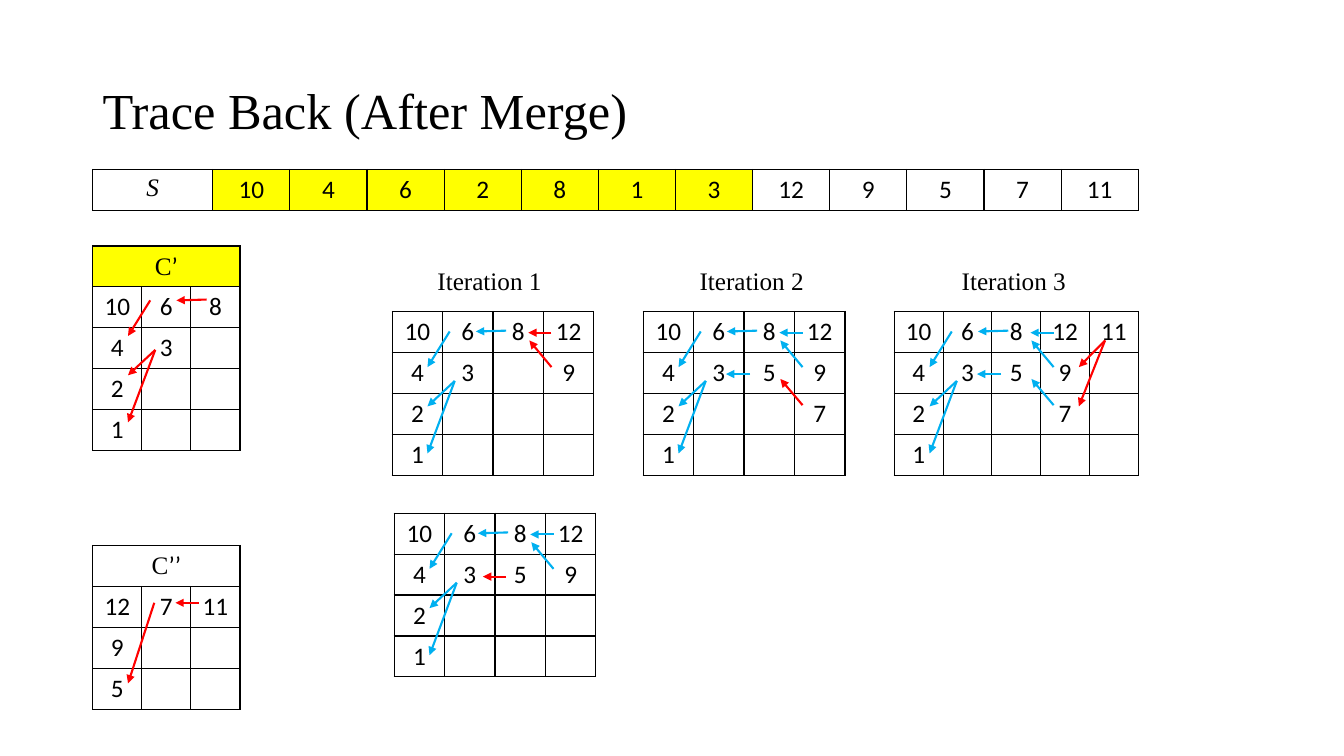
from lxml.etree import SubElement
from pptx import Presentation
from pptx.dml.color import RGBColor
from pptx.enum.shapes import MSO_CONNECTOR as Connector
from pptx.enum.text import MSO_ANCHOR as Anchor, PP_ALIGN as Align
from pptx.oxml.ns import qn
from pptx.util import Inches, Pt

BLACK = RGBColor(0, 0, 0)
YELLOW = RGBColor(255, 255, 0)
RED = RGBColor(255, 0, 0)
BLUE = RGBColor(0, 176, 240)
SERIF, SANS = "Times New Roman", "Calibri"
COLUMN = Inches(0.5)
ROW = Inches(2.03) // 5
MARGIN = 1.84

FORK = [
    ((1.14, 0.49), (0.7, 1.36)),
    ((2.26, 0.47), (1.66, 0.49)),
    ((1.24, 1.7), (0.7, 2.32)),
    ((1.24, 1.7), (0.7, 3.47)),
]
TWELVE_NINE = [((3.16, 0.52), (2.7, 0.52)), ((3.16, 1.36), (2.72, 0.71))]
FIVE = [((2.12, 1.53), (1.64, 1.53))]
FIVE_EARLY = [((2.22, 1.55), (1.76, 1.55))]
SEVEN = [((3.16, 2.29), (2.72, 1.65))]
ELEVEN = [((4.18, 0.71), (3.66, 1.36)), ((4.18, 0.71), (3.66, 2.32))]
SECOND_COVER = [((1.22, 0.4), (0.7, 2.37)), ((2.1, 0.4), (1.64, 0.4))]


def across(columns):
    return round(columns * COLUMN)


def down(rows):
    return round(rows * ROW)


def write(para, text, font=SANS, size=18, italic=False):
    span = para.add_run()
    span.text = text
    span.font.name = font
    span.font.size = Pt(size)
    span.font.italic = italic
    span.font.color.rgb = BLACK


def add_text(page, text, left, top, width, height, anchor=Anchor.TOP, **style):
    box = page.shapes.add_textbox(across(left), down(top), across(width), down(height))
    frame = box.text_frame
    frame.word_wrap = True
    frame.vertical_anchor = anchor
    write(frame.paragraphs[0], text, font=SERIF, **style)
    return frame.paragraphs[0]


def format_cell(cell, fill=None):
    properties = cell._tc.get_or_add_tcPr()
    for side in ("a:lnL", "a:lnR", "a:lnT", "a:lnB"):
        border = SubElement(properties, qn(side), w=str(Pt(1)))
        solid = SubElement(border, qn("a:solidFill"))
        SubElement(solid, qn("a:srgbClr"), val=str(BLACK))
    if fill is None:
        cell.fill.background()
    else:
        cell.fill.solid()
        cell.fill.fore_color.rgb = fill
    cell.text_frame.paragraphs[0].alignment = Align.CENTER


def add_grid(page, rows, left, top, widths):
    frame = page.shapes.add_table(
        len(rows), len(widths), across(left), down(top), across(sum(widths)), ROW * len(rows)
    )
    grid = frame.table
    grid.first_row = grid.horz_banding = False
    for column, width in zip(grid.columns, widths):
        column.width = across(width)
    for row, values in zip(grid.rows, rows):
        row.height = ROW
        for cell, value in zip(row.cells, values.split(",")):
            format_cell(cell)
            if value:
                write(cell.text_frame.paragraphs[0], value)
    return grid


def add_cover(page, primes, rows, top, fill=None):
    grid = add_grid(page, [",,"] + rows, MARGIN, top, [2.92 / 3] * 3)
    title = grid.cell(0, 0)
    title.merge(grid.cell(0, 2))
    if fill is not None:
        title.fill.solid()
        title.fill.fore_color.rgb = fill
    para = title.text_frame.paragraphs[0]
    write(para, "C", font=SERIF)
    write(para, primes)


def add_sequence(page, numbers, merged):
    rows = ["," + ",".join(numbers)]
    grid = add_grid(page, rows, MARGIN, 4.14, [2.38] + [1.53] * len(numbers))
    write(grid.cell(0, 0).text_frame.paragraphs[0], "S", font=SERIF, italic=True)
    for index in range(1, merged + 1):
        fill = grid.cell(0, index).fill
        fill.solid()
        fill.fore_color.rgb = YELLOW


def add_arrows(page, links, left, top, color):
    for (x1, y1), (x2, y2) in links:
        arrow = page.shapes.add_connector(
            Connector.STRAIGHT,
            across(left + x1), down(top + y1), across(left + x2), down(top + y2),
        )
        arrow.line.color.rgb = color
        arrow.line.width = Pt(1.5)
        SubElement(arrow.line._get_or_add_ln(), qn("a:tailEnd"), type="triangle")
        SubElement(arrow._element.spPr, qn("a:effectLst"))


def add_iteration(page, rows, left, top, width, old_links, new_links):
    count = len(rows[0].split(","))
    add_grid(page, rows, left, top, [width / count] * count)
    add_arrows(page, old_links, left, top, BLUE)
    add_arrows(page, new_links, left, top, RED)


def main():
    deck = Presentation()
    deck.slide_width, deck.slide_height = Inches(13.33), Inches(7.5)
    page = deck.slides.add_slide(deck.slide_layouts[6])

    title = add_text(page, "Trace Back (After Merge)", MARGIN, 0.99, 23, 3.57,
                     anchor=Anchor.MIDDLE, size=36)
    title.line_spacing = 0.9

    add_cover(page, "’", ["10,6,8", "4,3,", "2,,", "1,,"], 6.01, fill=YELLOW)
    add_arrows(page, FORK, MARGIN, 6.85, RED)
    add_cover(page, "’’", ["12,7,11", "9,,", "5,,"], 13.33)
    add_arrows(page, SECOND_COVER, MARGIN, 14.33, RED)

    first = ["10,6,8,12", "4,3,,9", "2,,,", "1,,,"]
    second = ["10,6,8,12", "4,3,5,9", "2,,,7", "1,,,"]
    third = ["10,6,8,12,11", "4,3,5,9,", "2,,,7,", "1,,,,"]
    between = ["10,6,8,12", "4,3,5,9", "2,,,", "1,,,"]
    iterations = [
        (first, 7.78, 7.61, 4, FORK, TWELVE_NINE),
        (second, 12.76, 7.61, 4, FORK + FIVE + TWELVE_NINE, SEVEN),
        (third, 17.74, 7.61, 4.84, FORK + FIVE + TWELVE_NINE + SEVEN, ELEVEN),
        (between, 7.82, 12.54, 4, FORK + TWELVE_NINE, FIVE_EARLY),
    ]
    for iteration in iterations:
        add_iteration(page, *iteration)

    add_sequence(page, "10 4 6 2 8 1 3 12 9 5 7 11".split(), merged=7)
    for index in range(3):
        add_text(page, f"Iteration {index + 1}", 8.48 + 5.2 * index, 6.35, 2.66, 0.99)

    deck.save("out.pptx")


if __name__ == "__main__":
    main()
